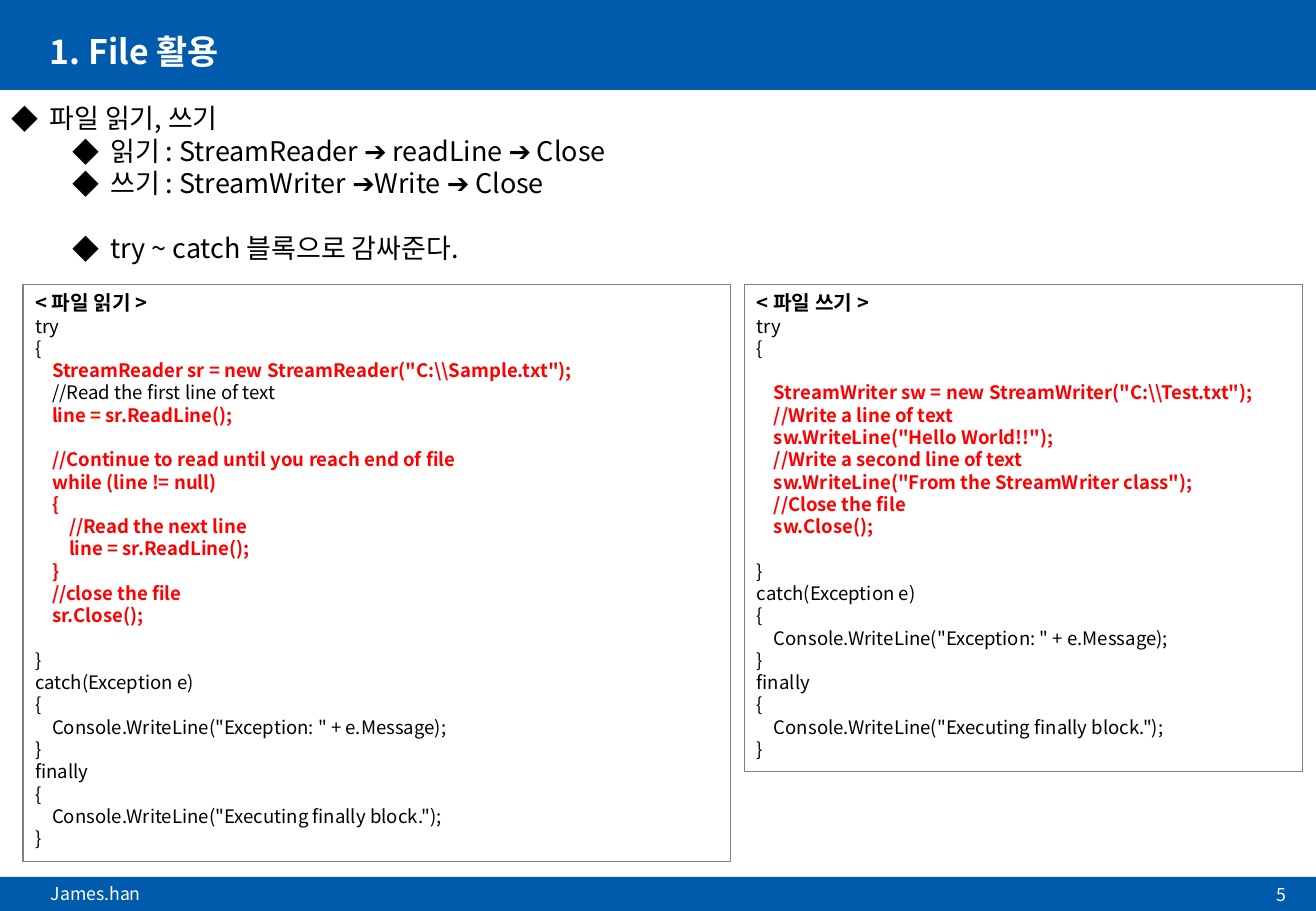
from dataclasses import dataclass

from lxml import etree
from pptx import Presentation
from pptx.dml.color import RGBColor
from pptx.enum.shapes import MSO_SHAPE
from pptx.enum.text import MSO_ANCHOR, MSO_AUTO_SIZE, PP_ALIGN
from pptx.oxml.ns import qn
from pptx.shapes.base import BaseShape
from pptx.slide import Slide
from pptx.text.text import TextFrame
from pptx.util import Emu, Pt

RECTANGLE = MSO_SHAPE.RECTANGLE
LEFT, RIGHT = PP_ALIGN.LEFT, PP_ALIGN.RIGHT
TOP, MIDDLE = MSO_ANCHOR.TOP, MSO_ANCHOR.MIDDLE
NO_AUTOFIT = MSO_AUTO_SIZE.NONE

PX_PER_INCH = 100
SLIDE_WIDTH, SLIDE_HEIGHT = 1083, 750
FONT = "Noto Sans CJK KR"
COLORS = {"blue": "005BAC", "white": "FFFFFF", "black": "000000", "red": "FF0000", "gray": "808080"}
LINE_HEIGHT = 1.2
CODE_INDENT = 14
BULLET_HANG = 31


@dataclass(frozen=True)
class Box:
    left: int
    top: int
    width: int
    height: int


@dataclass(frozen=True)
class Line:
    text: str
    depth: int = 0
    key: bool = False
    gap: bool = False


@dataclass(frozen=True)
class CodePanel:
    box: Box
    heading: str
    body: tuple[Line, ...]


BARS = (Box(0, 0, SLIDE_WIDTH, 74), Box(0, 722, SLIDE_WIDTH, 28))

BULLETS = (
    Line("파일 읽기, 쓰기"),
    Line("읽기 : StreamReader ➔ readLine ➔ Close", 1),
    Line("쓰기 : StreamWriter ➔Write ➔ Close", 1),
    Line("try ~ catch 블록으로 감싸준다.", 1, gap=True),
)

CODE_START = (Line("try"), Line("{"))
CODE_END = (
    Line("}", gap=True),
    Line("catch(Exception e)"),
    Line("{"),
    Line('Console.WriteLine("Exception: " + e.Message);', 1),
    Line("}"),
    Line("finally"),
    Line("{"),
    Line('Console.WriteLine("Executing finally block.");', 1),
    Line("}"),
)

PANELS = (
    CodePanel(Box(19, 234, 582, 475), "< 파일 읽기 >", (
        Line('StreamReader sr = new StreamReader("C:\\\\Sample.txt");', 1, True),
        Line("//Read the first line of text", 1),
        Line("line = sr.ReadLine();", 1, True),
        Line("//Continue to read until you reach end of file", 1, True, True),
        Line("while (line != null)", 1, True),
        Line("{", 1, True),
        Line("//Read the next line", 2, True),
        Line("line = sr.ReadLine();", 2, True),
        Line("}", 1, True),
        Line("//close the file", 1, True),
        Line("sr.Close();", 1, True),
    )),
    CodePanel(Box(613, 234, 459, 401), "< 파일 쓰기 >", (
        Line('StreamWriter sw = new StreamWriter("C:\\\\Test.txt");', 1, True, True),
        Line("//Write a line of text", 1, True),
        Line('sw.WriteLine("Hello World!!");', 1, True),
        Line("//Write a second line of text", 1, True),
        Line('sw.WriteLine("From the StreamWriter class");', 1, True),
        Line("//Close the file", 1, True),
        Line("sw.Close();", 1, True),
    )),
)


def px(length: int) -> Emu:
    return Emu(length * 914400 // PX_PER_INCH)


def color(name: str) -> RGBColor:
    return RGBColor.from_string(COLORS[name])


def place(shape: BaseShape, box: Box) -> None:
    shape.left, shape.top = px(box.left), px(box.top)
    shape.width, shape.height = px(box.width), px(box.height)


def set_up_frame(frame: TextFrame, anchor: MSO_ANCHOR) -> None:
    frame.word_wrap = True
    frame.auto_size = NO_AUTOFIT
    frame.vertical_anchor = anchor


def add_line(frame: TextFrame, line: Line, size: float, color_name: str = "black",
             bold: bool = False, indent: int = 0, alignment: PP_ALIGN = LEFT,
             bullet: str = "") -> None:
    paragraph = frame.paragraphs[0]
    if paragraph.runs:
        paragraph = frame.add_paragraph()
    paragraph.alignment = alignment
    paragraph.space_before = Pt(size * LINE_HEIGHT if line.gap else 0)
    run = paragraph.add_run()
    run.text = line.text
    run.font.name = FONT
    run.font.size = Pt(size)
    run.font.bold = bold
    run.font.color.rgb = color(color_name)
    etree.SubElement(run.font._element, qn("a:ea"), typeface=FONT)
    properties = paragraph._p.get_or_add_pPr()
    properties.set("marL", str(px(indent)))
    if bullet:
        paragraph.level = line.depth
        properties.set("indent", str(-px(BULLET_HANG)))
        etree.SubElement(properties, qn("a:buFont"), typeface=FONT)
        etree.SubElement(properties, qn("a:buChar"), char=bullet)


def add_rectangle(slide: Slide, box: Box) -> BaseShape:
    shape = slide.shapes.add_shape(RECTANGLE, 0, 0, 0, 0)
    place(shape, box)
    shape.shadow.inherit = False
    return shape


def add_bar(slide: Slide, box: Box) -> None:
    bar = add_rectangle(slide, box)
    bar.fill.solid()
    bar.fill.fore_color.rgb = color("blue")
    bar.line.fill.background()


def add_text_frame(slide: Slide, box: Box, anchor: MSO_ANCHOR = TOP) -> TextFrame:
    text_box = slide.shapes.add_textbox(0, 0, 0, 0)
    place(text_box, box)
    set_up_frame(text_box.text_frame, anchor)
    return text_box.text_frame


def add_code_panel(slide: Slide, panel: CodePanel) -> None:
    shape = add_rectangle(slide, panel.box)
    shape.fill.background()
    shape.line.color.rgb = color("gray")
    shape.line.width = Pt(0.75)
    frame = shape.text_frame
    set_up_frame(frame, TOP)
    add_line(frame, Line(panel.heading), 12, bold=True)
    for line in CODE_START + panel.body + CODE_END:
        add_line(frame, line, 11, "red" if line.key else "black", line.key,
                 line.depth * CODE_INDENT)


def set_title(slide: Slide, text: str) -> None:
    title = slide.shapes.title
    place(title, Box(31, 25, 1023, 38))
    set_up_frame(title.text_frame, MIDDLE)
    add_line(title.text_frame, Line(text), 20, "white", True)
    title.text_frame.paragraphs[0].line_spacing = 0.9
    title.element.getparent().append(title.element)


def main() -> None:
    presentation = Presentation()
    presentation.slide_width, presentation.slide_height = px(SLIDE_WIDTH), px(SLIDE_HEIGHT)
    slide = presentation.slides.add_slide(presentation.slide_layouts[5])
    for bar in BARS:
        add_bar(slide, bar)
    set_title(slide, "1. File 활용")
    author = add_text_frame(slide, Box(32, 722, 739, 28))
    add_line(author, Line("James.han"), 10.5, "white")
    page_number = add_text_frame(slide, Box(917, 724, 151, 25), MIDDLE)
    add_line(page_number, Line("5"), 10.5, "white", alignment=RIGHT)
    outline = add_text_frame(slide, Box(0, 79, SLIDE_WIDTH, 150))
    for bullet in BULLETS:
        add_line(outline, bullet, 16, indent=BULLET_HANG + bullet.depth * 50, bullet="◆")
    for panel in PANELS:
        add_code_panel(slide, panel)
    presentation.save("out.pptx")


if __name__ == "__main__":
    main()
